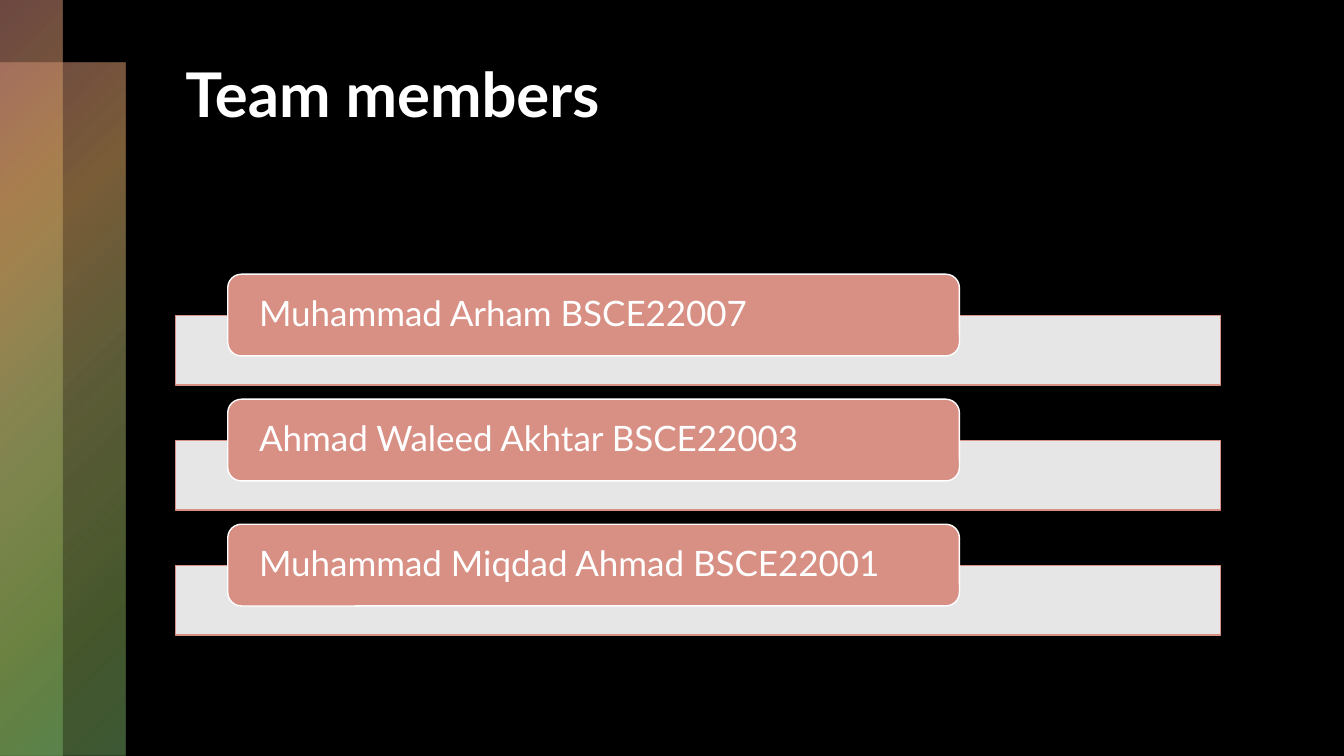
from dataclasses import dataclass

from lxml.etree import SubElement
from pptx import Presentation
from pptx.dml.color import RGBColor
from pptx.enum.shapes import MSO_SHAPE as Kind
from pptx.enum.text import MSO_ANCHOR as Anchor, MSO_AUTO_SIZE as Fit, PP_ALIGN as Align
from pptx.oxml import parse_xml
from pptx.oxml.ns import nsdecls, qn
from pptx.shapes.autoshape import Shape
from pptx.slide import Slide
from pptx.text.text import TextFrame
from pptx.util import Cm, Pt

BLACK = RGBColor(0x00, 0x00, 0x00)
WHITE = RGBColor(0xFF, 0xFF, 0xFF)
ROSE = RGBColor(0xD8, 0x8F, 0x84)
SAND = RGBColor(0xCC, 0x9A, 0x5D)
OLIVE = RGBColor(0xA9, 0xA7, 0x67)
LEAF = RGBColor(0x8C, 0xAD, 0x57)
GREEN = RGBColor(0x77, 0xB2, 0x68)

FONT = "Lato"
LEFT, WIDTH = 4.42, 26.34
STEP = 3.15
TEAM = (
    "Muhammad Arham BSCE22007",
    "Ahmad Waleed Akhtar BSCE22003",
    "Muhammad Miqdad Ahmad BSCE22001",
)


@dataclass(frozen=True)
class Box:
    """Place and size in centimetres."""

    left: float
    top: float
    width: float
    height: float

    def down(self, drop: float) -> "Box":
        return Box(self.left, self.top + drop, self.width, self.height)

    def spans(self) -> tuple[Cm, ...]:
        return tuple(Cm(v) for v in (self.left, self.top, self.width, self.height))


@dataclass(frozen=True)
class Stop:
    """Gradient stop, with place and opacity in percent."""

    place: int
    color: RGBColor
    alpha: int


@dataclass(frozen=True)
class Band:
    box: Box
    mid: int


BANDS = (Band(Box(0, 1.58, 3.16, 17.47), 50), Band(Box(0, 0, 1.58, 19.05), 49))
BAR = Box(LEFT, 7.95, WIDTH, 1.75)
TAG = Box(5.74, 6.91, 18.44, 2.06)


def apply(target: object, values: dict[str, object]) -> None:
    for name, value in values.items():
        setattr(target, name, value)


def write(frame: TextFrame, text: str, size: int, bold: bool, form: dict[str, object]) -> None:
    apply(frame, {"word_wrap": True, "auto_size": Fit.NONE, **form})
    par = frame.paragraphs[0]
    par.alignment = Align.LEFT
    run = par.add_run()
    run.text = text
    apply(run.font, {"name": FONT, "size": Pt(size), "bold": bold})
    run.font.color.rgb = WHITE


def draw(slide: Slide, kind: Kind, box: Box) -> Shape:
    shape = slide.shapes.add_shape(kind, *box.spans())
    shape.shadow.inherit = False
    return shape


def paint(shape: Shape, fill: RGBColor, edge: RGBColor) -> None:
    shape.fill.solid()
    shape.fill.fore_color.rgb = fill
    shape.line.color.rgb = edge
    shape.line.width = Pt(1)


def fade(shape: Shape, stops: tuple[Stop, ...]) -> None:
    """Fill with a round gradient that starts in the top left corner."""
    marks = "".join(
        f'<a:gs pos="{s.place * 1000}"><a:srgbClr val="{s.color}">'
        f'<a:alpha val="{s.alpha * 1000}"/></a:srgbClr></a:gs>'
        for s in stops
    )
    grad = parse_xml(
        f'<a:gradFill {nsdecls("a")} rotWithShape="1"><a:gsLst>{marks}</a:gsLst>'
        '<a:path path="circle"><a:fillToRect r="100000" b="100000"/></a:path></a:gradFill>'
    )
    shape.fill.background()
    props = shape._element.spPr
    props.replace(props.find(qn("a:noFill")), grad)
    shape.line.fill.background()


def add_band(slide: Slide, band: Band) -> None:
    stops = (
        Stop(0, ROSE, 50),
        Stop(25, SAND, 60),
        Stop(band.mid, OLIVE, 55),
        Stop(81, LEAF, 50),
        Stop(99, GREEN, 50),
    )
    fade(draw(slide, Kind.RECTANGLE, band.box), stops)


def add_member(slide: Slide, name: str, drop: float) -> None:
    bar = draw(slide, Kind.RECTANGLE, BAR.down(drop))
    paint(bar, WHITE, ROSE)
    tone = bar._element.spPr.find(qn("a:solidFill")).find(qn("a:srgbClr"))
    SubElement(tone, qn("a:alpha"), val="90000")

    tag = draw(slide, Kind.ROUNDED_RECTANGLE, TAG.down(drop))
    paint(tag, ROSE, WHITE)
    form = {
        "vertical_anchor": Anchor.MIDDLE,
        "margin_left": Cm(0.69),
        "margin_right": Cm(0.69),
        "margin_top": 0,
        "margin_bottom": 0,
    }
    write(tag.text_frame, name, 25, False, form)
    tag.text_frame.paragraphs[0].line_spacing = 0.9


def main() -> None:
    deck = Presentation()
    apply(deck, {"slide_width": Cm(33.87), "slide_height": Cm(19.05)})
    slide = deck.slides.add_slide(deck.slide_layouts.get_by_name("Title Only"))
    slide.background.fill.solid()
    slide.background.fill.fore_color.rgb = BLACK

    for band in BANDS:
        add_band(slide, band)

    title = slide.shapes.title
    spans = Box(LEFT, 1.27, WIDTH, 4.32).spans()
    apply(title, dict(zip(("left", "top", "width", "height"), spans)))
    write(title.text_frame, "Team members", 44, True, {"vertical_anchor": Anchor.TOP})

    for row, name in enumerate(TEAM):
        add_member(slide, name, row * STEP)
    deck.save("out.pptx")


if __name__ == "__main__":
    main()
